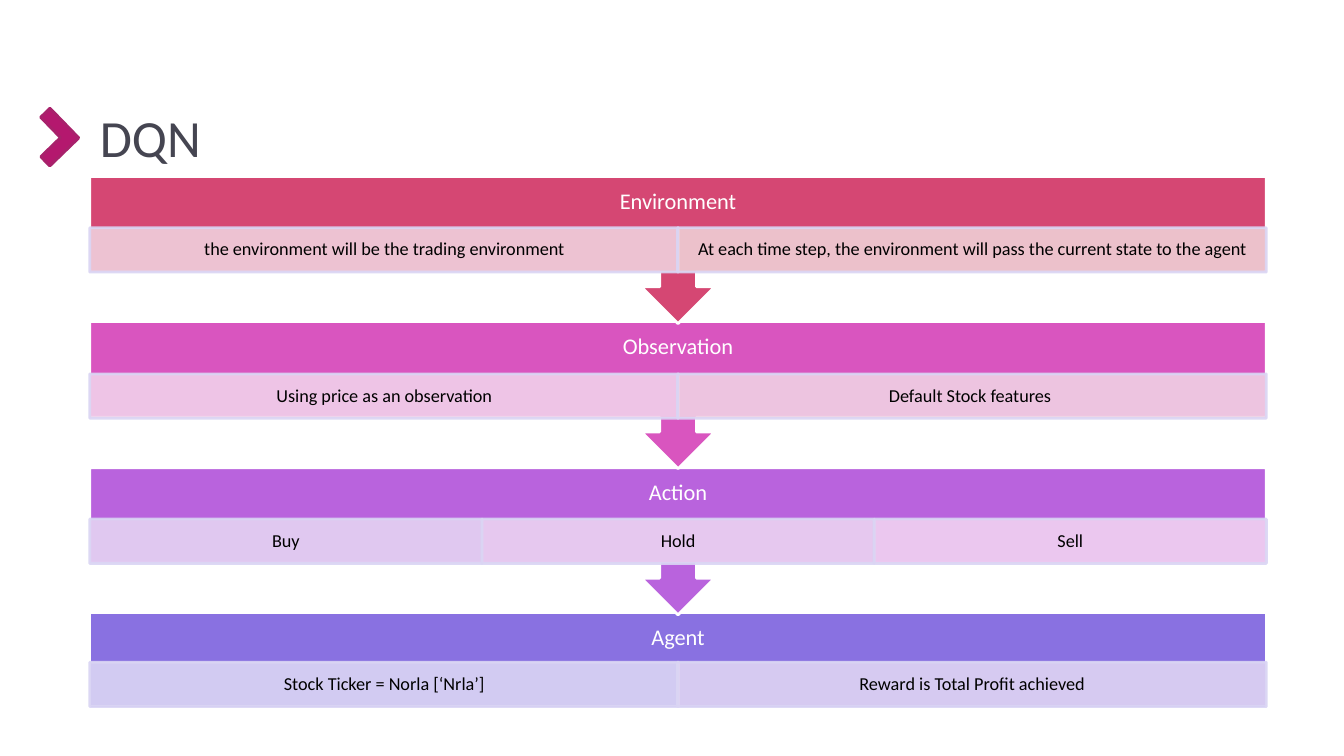
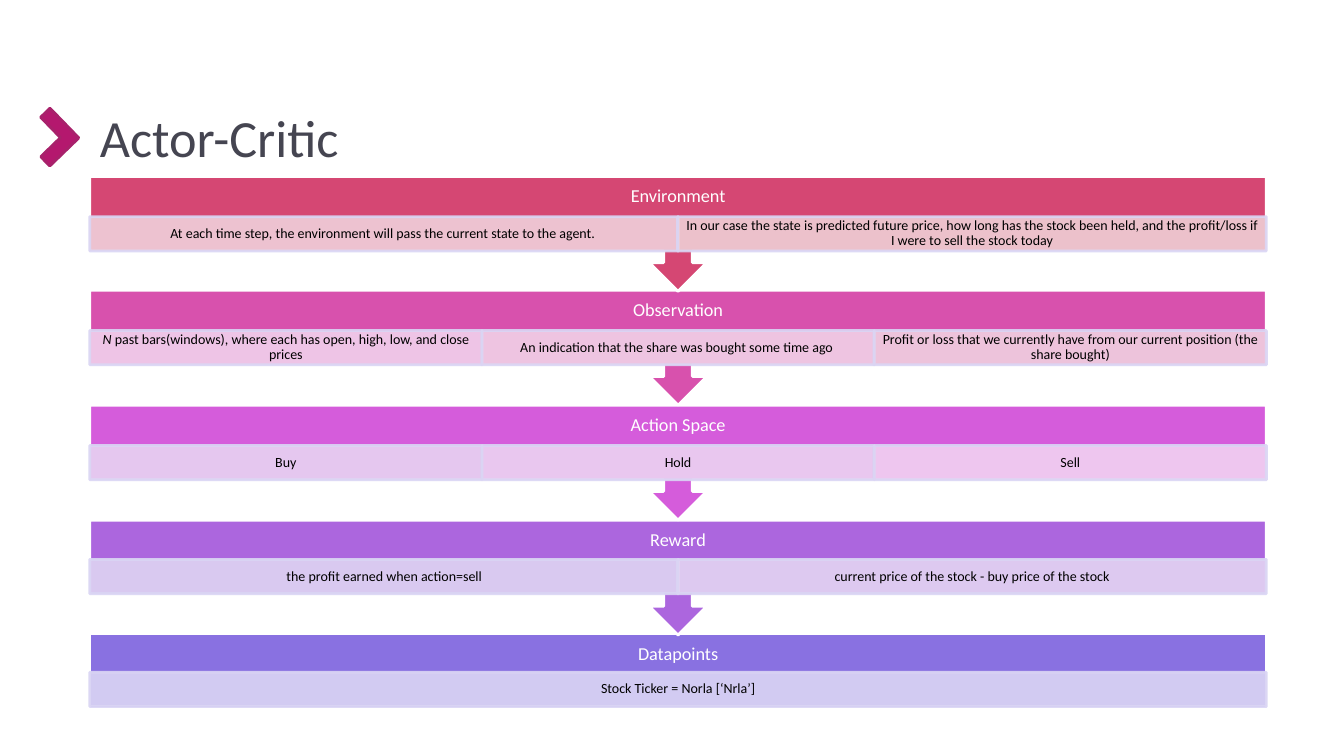
"""Build two slides of stacked process blocks joined by arrows."""
import dataclasses

import lxml.etree
import pptx
import pptx.dml.color
import pptx.enum.shapes
import pptx.enum.text
import pptx.oxml.ns
import pptx.util

SHAPES = pptx.enum.shapes.MSO_SHAPE
ALIGN = pptx.enum.text.PP_ALIGN
MIDDLE = pptx.enum.text.MSO_ANCHOR.MIDDLE
EMU_PER_PX = 9144
PAGE_SIZE = (1333, 750)
LEFT, TOP, WIDTH, BOTTOM = 89, 175, 1167, 703


@dataclasses.dataclass(frozen=True)
class Theme:
    """Colours and type sizes of the deck."""
    font: str = "Calibri"
    title: str = "454551"
    title_size: float = 37.3
    chevron: str = "B4186E"
    chevron_edge: str = "A8216B"
    white: str = "FFFFFF"
    black: str = "000000"
    cell_edge: str = "DAD5F4"
    line_width: int = 2
    cell_opacity: int = 90


@dataclasses.dataclass(frozen=True)
class Density:
    """Block heights, insets and type sizes for one stack."""
    box: int
    callout: int
    heading_size: int
    cell_size: int
    heading_inset: int
    cell_insets: tuple


@dataclasses.dataclass(frozen=True)
class Cell:
    """A tinted cell, with an optional italic lead-in."""
    fill: str
    text: str
    lead: str = ""


@dataclasses.dataclass(frozen=True)
class Block:
    """A heading over a row of cells."""
    heading: str
    fill: str
    cells: tuple


THEME = Theme()
ROOMY = Density(95, 146, 16, 13, 12, (10, 2))
COMPACT = Density(74, 114, 13, 10, 10, (8, 1))

DQN = (
    Block("Environment", "D54773", (
        Cell("F0D0DD", "the environment will be the trading environment"),
        Cell("EFCFD5", "At each time step, the environment will pass the current state to the agent"),
    )),
    Block("Observation", "D955BF", (
        Cell("F1D1EB", "Using price as an observation"),
        Cell("F0D1E4", "Default Stock features "),
    )),
    Block("Action", "B963DD", (
        Cell("E5D4F3", "Buy"), Cell("EBD3F2", "Hold"), Cell("F1D2F2", "Sell"),
    )),
    Block("Agent", "8971E1", (
        Cell("DAD5F4", "Stock Ticker = Norla [‘Nrla’]"),
        Cell("DFD4F3", "Reward is Total Profit achieved"),
    )),
)

ACTOR_CRITIC = (
    Block("Environment", "D54773", (
        Cell("F0D0DB", "At each time step, the environment will pass the current state to the agent. "),
        Cell("EFCFD5", "In our case the state is predicted future price, how long has the stock "
             "been held, and the profit/loss if I were to sell the stock today"),
    )),
    Block("Observation", "D851AD", (
        Cell("F1D1ED", " past bars(windows), where each has open, high, low, and close prices", "N"),
        Cell("F1D1E7", "An indication that the share was bought some time ago "),
        Cell("F0D0E1", "Profit or loss that we currently have from our current position (the share bought)"),
    )),
    Block("Action Space", "D55CDB", (
        Cell("E7D3F2", "Buy"), Cell("ECD3F2", "Hold"), Cell("F1D2F2", "Sell"),
    )),
    Block("Reward", "AC66DE", (
        Cell("DED4F3", "the profit earned when action=sell"),
        Cell("E3D4F3", "current price of the stock - buy price of the stock"),
    )),
    Block("Datapoints", "8971E1", (
        Cell("DAD5F4", "Stock Ticker = Norla [‘Nrla’]"),
    )),
)


def px(length):
    """Turn px into EMU."""
    return pptx.util.Emu(round(length) * EMU_PER_PX)


def rgb(code):
    """Turn a hex code into a colour."""
    return pptx.dml.color.RGBColor.from_string(code)


def add_span(para, text, size, colour, italic=False):
    """Add one formatted run."""
    span = para.add_run()
    span.text = text
    span.font.name = THEME.font
    span.font.size = pptx.util.Pt(size)
    span.font.color.rgb = rgb(colour)
    span.font.italic = italic


def prepare_frame(frame, insets, align):
    """Set up a wrapped, middle-anchored frame and return its paragraph."""
    frame.word_wrap = True
    frame.auto_size = pptx.enum.text.MSO_AUTO_SIZE.NONE
    frame.vertical_anchor = MIDDLE
    frame.margin_left = frame.margin_right = px(insets[0])
    frame.margin_top = frame.margin_bottom = px(insets[1])
    para = frame.paragraphs[0]
    para.alignment = align
    para.line_spacing = 0.9 if align == ALIGN.CENTER else 1.0
    return para


def add_box(page, kind, place, fill, edge, rotation=0):
    """Add a filled and outlined preset shape."""
    box = page.shapes.add_shape(kind, *map(px, place))
    box.shadow.inherit = False
    box.rotation = rotation
    box.fill.solid()
    box.fill.fore_color.rgb = rgb(fill)
    box.line.color.rgb = rgb(edge)
    box.line.width = pptx.util.Pt(THEME.line_width)
    return box


def set_opacity(box, percent):
    """Make the fill and line of a shape partly transparent."""
    qn = pptx.oxml.ns.qn
    for colour in box.element.spPr.iter(qn("a:srgbClr")):
        lxml.etree.SubElement(colour, qn("a:alpha")).set("val", str(percent * 1000))


def add_cell(page, place, cell, density):
    """Add a translucent cell with its text."""
    box = add_box(page, SHAPES.RECTANGLE, place, cell.fill, THEME.cell_edge)
    set_opacity(box, THEME.cell_opacity)
    para = prepare_frame(box.text_frame, density.cell_insets, ALIGN.CENTER)
    if cell.lead:
        add_span(para, cell.lead, density.cell_size, THEME.black, italic=True)
    add_span(para, cell.text, density.cell_size, THEME.black)


def add_block(page, top, block, density, last):
    """Add a heading band, its arrow unless last, and its cells."""
    box = density.box
    if last:
        add_box(page, SHAPES.RECTANGLE, (LEFT, top, WIDTH, box), block.fill, THEME.white)
    else:
        add_box(page, SHAPES.UP_ARROW_CALLOUT, (LEFT, top, WIDTH, density.callout),
                block.fill, THEME.white, rotation=180)
    heading = page.shapes.add_textbox(*map(px, (LEFT, top, WIDTH, 0.54 * box)))
    para = prepare_frame(heading.text_frame, (density.heading_inset,) * 2, ALIGN.CENTER)
    add_span(para, block.heading, density.heading_size, THEME.white)
    cell_top = top + box * (0.52 if last else 0.54)
    cell_width = WIDTH / len(block.cells)
    for column, cell in enumerate(block.cells):
        place = (LEFT + column * cell_width, cell_top, cell_width, 0.46 * box)
        add_cell(page, place, cell, density)


def add_stack(page, blocks, density):
    """Spread the blocks evenly, drawn from the bottom up."""
    final = len(blocks) - 1
    pitch = (BOTTOM - density.box - TOP) / final
    for row in range(final, -1, -1):
        add_block(page, TOP + row * pitch, blocks[row], density, row == final)


def add_page(deck, title):
    """Add a page with the chevron and title."""
    page = deck.slides.add_slide(deck.slide_layouts[5])
    chevron = add_box(page, SHAPES.CORNER, (29, 116, 41, 40),
                      THEME.chevron, THEME.chevron_edge, rotation=225.9)
    chevron.adjustments[0] = chevron.adjustments[1] = 0.32
    box = page.shapes.title
    box.left, box.top, box.width, box.height = map(px, (LEFT, 97, WIDTH, 78))
    para = prepare_frame(box.text_frame, (10, 5), ALIGN.LEFT)
    add_span(para, title, THEME.title_size, THEME.title)
    return page


def main():
    """Build and save the deck."""
    deck = pptx.Presentation()
    deck.slide_width, deck.slide_height = map(px, PAGE_SIZE)
    for title, blocks, density in (("DQN", DQN, ROOMY), ("Actor-Critic", ACTOR_CRITIC, COMPACT)):
        add_stack(add_page(deck, title), blocks, density)
    deck.save("out.pptx")


if __name__ == "__main__":
    main()
